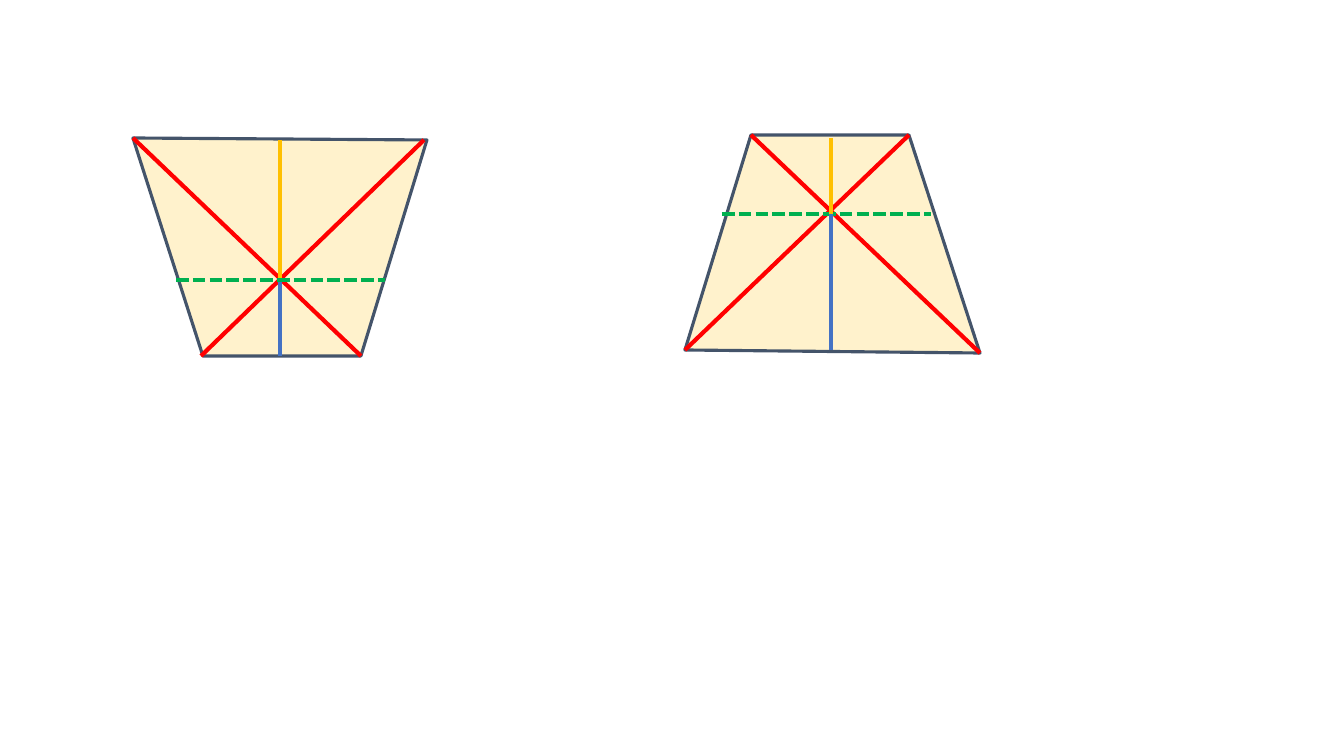
from lxml import etree
from pptx import Presentation
from pptx import util as u
from pptx.dml.color import RGBColor
from pptx.enum import dml, shapes
from pptx.oxml.ns import qn

PX = 914400 / 100.8
COLORS = {
    "fill": "FFF2CC",
    "outline": "44546A",
    "diagonal": "FF0000",
    "lower": "4472C4",
    "upper": "FFC000",
    "middle": "00B050",
}

# Corners run clockwise from the top left; segments are listed back to front.
TRAPEZOIDS = [
    {
        "corners": [(133, 138), (427, 140), (361, 356), (203, 356)],
        "segments": [
            ("diagonal", (201, 356), (424, 140)),
            ("diagonal", (361, 356), (133, 138)),
            ("lower", (280, 280), (280, 356)),
            ("upper", (280, 140), (280, 280)),
            ("middle", (176, 280), (385, 280)),
        ],
    },
    {
        "corners": [(751, 135), (909, 135), (980, 353), (685, 350)],
        "segments": [
            ("diagonal", (685, 350), (909, 135)),
            ("diagonal", (980, 353), (751, 135)),
            ("middle", (722, 214), (931, 214)),
            ("upper", (831, 138), (831, 214)),
            ("lower", (831, 214), (831, 350)),
        ],
    },
]


def px(length):
    return u.Emu(round(length * PX))


def color(role):
    return RGBColor.from_string(COLORS[role])


deck = Presentation()
deck.slide_width, deck.slide_height = px(1344), px(756)
page = deck.slides.add_slide(deck.slide_layouts[6])

for trapezoid in TRAPEZOIDS:
    start, *others = trapezoid["corners"]
    builder = page.shapes.build_freeform(*start, scale=PX)
    builder.add_line_segments(others, close=True)
    outline = builder.convert_to_shape()
    outline.shadow.inherit = False
    outline.fill.solid()
    outline.fill.fore_color.rgb = color("fill")
    outline.line.color.rgb = color("outline")
    outline.line.width = u.Pt(2.25)

    for role, begin, end in trapezoid["segments"]:
        segment = page.shapes.add_connector(
            shapes.MSO_CONNECTOR.STRAIGHT, *map(px, begin + end)
        )
        segment.line.color.rgb = color(role)
        segment.line.width = u.Pt(3)
        if role == "middle":
            segment.line.dash_style = dml.MSO_LINE.SQUARE_DOT
        etree.SubElement(segment._element.spPr, qn("a:effectLst"))

deck.save("out.pptx")
